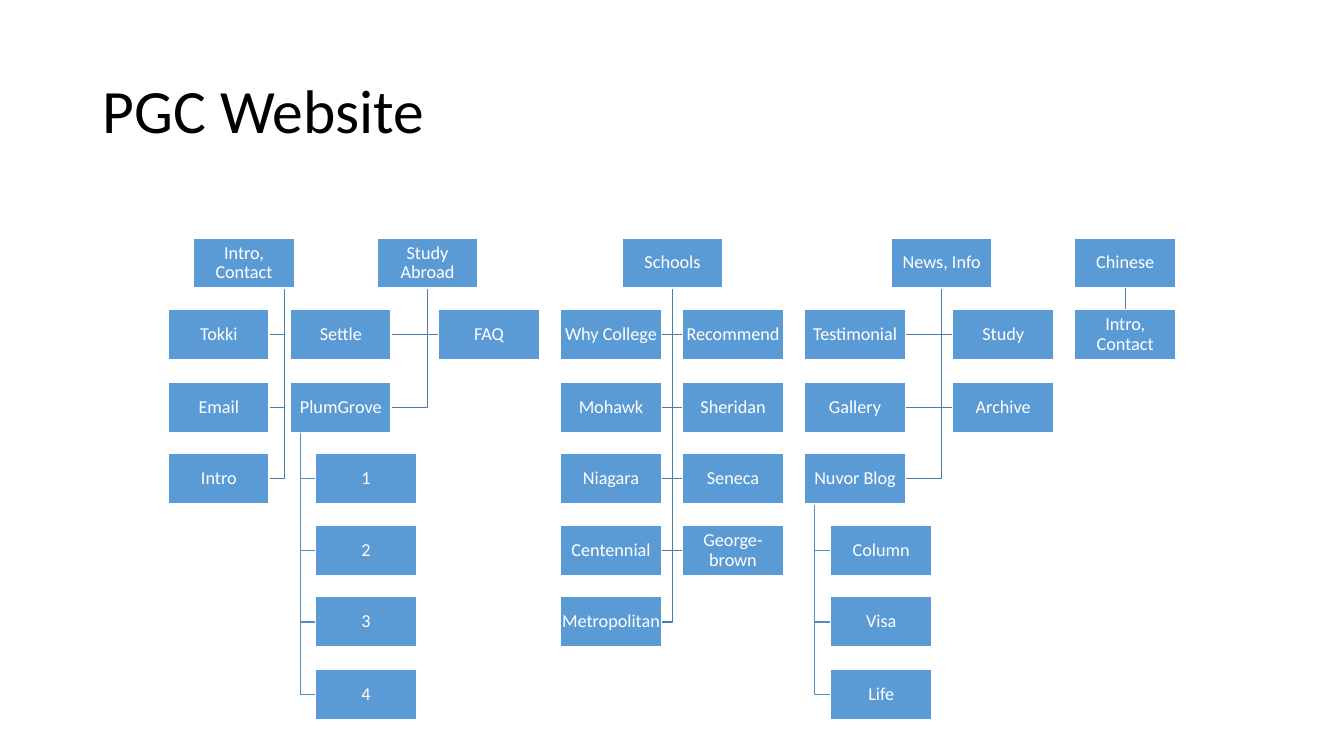
import dataclasses

import lxml.etree
import pptx
import pptx.dml.color
import pptx.enum.shapes
import pptx.enum.text
import pptx.oxml.ns
import pptx.util

PX = 9144
FONT = "Calibri"
BLACK = pptx.dml.color.RGBColor(0x00, 0x00, 0x00)
WHITE = pptx.dml.color.RGBColor(0xFF, 0xFF, 0xFF)
BLUE = pptx.dml.color.RGBColor(0x5B, 0x9B, 0xD5)
MAIN_LINE = pptx.dml.color.RGBColor(0x49, 0x7C, 0xAB)
SUB_LINE = pptx.dml.color.RGBColor(0x53, 0x8D, 0xC1)
BOX_WIDTH, BOX_HEIGHT = 100, 50


@dataclasses.dataclass
class Page:
    """A box of the site map; trunk is where its branch line leaves it."""
    label: str
    left: int
    row: int
    trunk: int = 50
    children: tuple = ()


def column(left, row, *labels):
    """Stack pages without children from the given row down."""
    return tuple(Page(label, left, row + index) for index, label in enumerate(labels))


SITE_MAP = (
    Page("Intro, Contact", 25, 0, 90, column(0, 1, "Tokki", "Email", "Intro")),
    Page("Study Abroad", 207, 0, 50, (
        *column(121, 1, "Settle"),
        *column(268, 1, "FAQ"),
        Page("PlumGrove", 121, 2, 10, column(146, 3, "1", "2", "3", "4")),
    )),
    Page("Schools", 450, 0, 50, (
        *column(389, 1, "Why College", "Mohawk", "Niagara", "Centennial", "Metropolitan"),
        *column(510, 1, "Recommend", "Sheridan", "Seneca", "George-brown"),
    )),
    Page("News, Info", 717, 0, 50, (
        *column(631, 1, "Testimonial", "Gallery"),
        *column(778, 1, "Study", "Archive"),
        Page("Nuvor Blog", 631, 3, 10, column(657, 4, "Column", "Visa", "Life")),
    )),
    Page("Chinese", 899, 0, 50, column(899, 1, "Intro, Contact")),
)


def px(length):
    """Turn px into EMU."""
    return pptx.util.Emu(length * PX)


def row_top(row):
    """Give the top of a row, the rows being 71.25 px apart."""
    return (285 * row + 2) // 4


def write_text(shape, text, *, size, color, alignment, inset):
    """Write one formatted paragraph into a shape."""
    frame = shape.text_frame
    frame.word_wrap = True
    frame.vertical_anchor = pptx.enum.text.MSO_ANCHOR.MIDDLE
    frame.margin_left = frame.margin_right = px(inset)
    frame.margin_top = frame.margin_bottom = px(min(inset, 5))
    paragraph = frame.paragraphs[0]
    paragraph.alignment = alignment
    paragraph.line_spacing = 0.9
    run = paragraph.add_run()
    run.text = text
    run.font.name = FONT
    run.font.size = pptx.util.Pt(size)
    run.font.color.rgb = color


def draw_title(slide, text, left, top, width, height):
    """Place and write the slide title."""
    title = slide.shapes.title
    title.left, title.top, title.width, title.height = map(px, (left, top, width, height))
    write_text(title, text, size=44, color=BLACK,
               alignment=pptx.enum.text.PP_ALIGN.LEFT, inset=10)


def draw_box(slide, page, left, top):
    """Draw the labelled rectangle of a page."""
    box = slide.shapes.add_shape(
        pptx.enum.shapes.MSO_SHAPE.RECTANGLE, px(left + page.left),
        px(top + row_top(page.row)), px(BOX_WIDTH), px(BOX_HEIGHT))
    box.shadow.inherit = False
    box.fill.solid()
    box.fill.fore_color.rgb = BLUE
    box.line.color.rgb = WHITE
    box.line.width = pptx.util.Pt(1)
    write_text(box, page.label, size=13, color=WHITE,
               alignment=pptx.enum.text.PP_ALIGN.CENTER, inset=1)
    return box


def draw_elbow(slide, page, child, left, top, color):
    """Draw the bent line from a page down to the near side of a child."""
    trunk = left + page.left + page.trunk
    child_left = left + child.left
    end = child_left if child_left > trunk else child_left + BOX_WIDTH
    middle = top + row_top(child.row) + BOX_HEIGHT // 2
    builder = slide.shapes.build_freeform(
        trunk, top + row_top(page.row) + BOX_HEIGHT, scale=PX)
    builder.add_line_segments([(trunk, middle), (end, middle)], close=False)
    elbow = builder.convert_to_shape()
    elbow.shadow.inherit = False
    elbow.fill.background()
    elbow.line.color.rgb = color
    elbow.line.width = pptx.util.Pt(1)


def join_boxes(slide, upper, lower, color):
    """Join two stacked boxes with a straight connector."""
    connector = slide.shapes.add_connector(
        pptx.enum.shapes.MSO_CONNECTOR.STRAIGHT, 0, 0, 0, 0)
    connector.begin_connect(upper, 2)
    connector.end_connect(lower, 0)
    connector.line.color.rgb = color
    connector.line.width = pptx.util.Pt(1)
    lxml.etree.SubElement(connector._element.spPr, pptx.oxml.ns.qn("a:effectLst"))


def draw_branch(slide, page, left, top, color=MAIN_LINE):
    """Draw a page, its lines and all the pages below it."""
    for child in page.children:
        if child.left != page.left:
            draw_elbow(slide, page, child, left, top, color)
    box = draw_box(slide, page, left, top)
    for child in page.children:
        child_box = draw_branch(slide, child, left, top, SUB_LINE)
        if child.left == page.left:
            join_boxes(slide, box, child_box, color)
    return box


def draw_site_map(slide, left, top):
    """Draw every branch of the site map from its top left corner."""
    for page in SITE_MAP:
        draw_branch(slide, page, left, top)


def main():
    """Build and save the presentation."""
    presentation = pptx.Presentation()
    presentation.slide_width, presentation.slide_height = px(1333), px(750)
    slide = presentation.slides.add_slide(presentation.slide_layouts[5])
    draw_title(slide, "PGC Website", 92, 40, 1150, 145)
    draw_site_map(slide, 167, 236)
    presentation.save("out.pptx")


if __name__ == "__main__":
    main()
